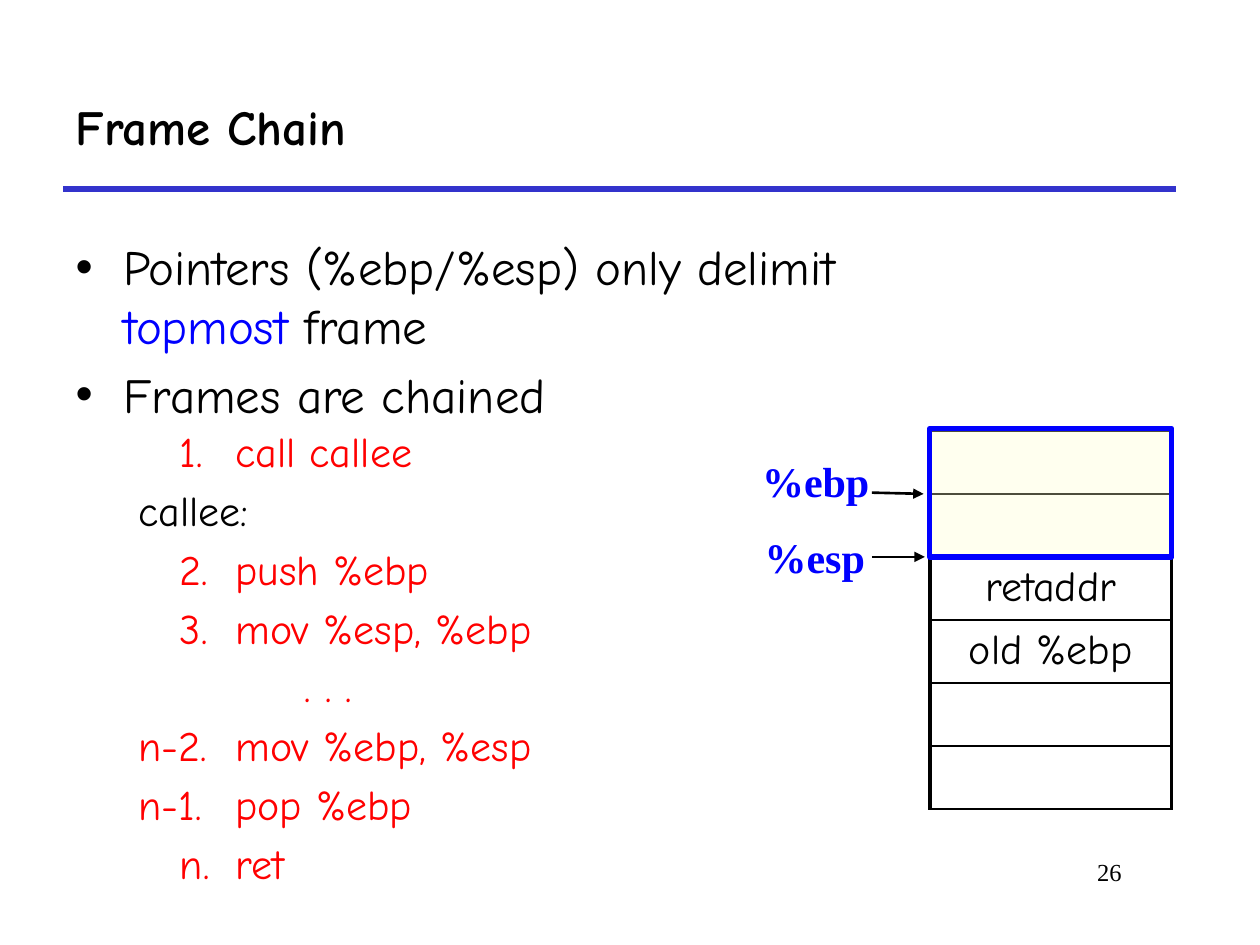
import pptx
import pptx.util
import pptx.oxml
import pptx.oxml.ns
import pptx.dml.color
import pptx.enum.text
import pptx.enum.shapes
import lxml.etree

Inches = pptx.util.Inches
Pt = pptx.util.Pt
Align = pptx.enum.text.PP_ALIGN
Anchor = pptx.enum.text.MSO_ANCHOR
qn = pptx.oxml.ns.qn
SANS, SERIF = "Comic Neue", "Times New Roman"
BLACK, BLUE, RED = "000000", "0000FF", "FF0000"


def paint(target, color):
    if hasattr(target, "solid"):
        target.solid()
        target = target.fore_color
    else:
        target = target.color
    target.rgb = pptx.dml.color.RGBColor.from_string(color)


def style(para, size, font, color, bold=False):
    for span in para.runs:
        span.font.size = Pt(size)
        span.font.name = font
        span.font.bold = bold
        paint(span.font, color)


deck = pptx.Presentation()
deck.slide_width, deck.slide_height = Inches(10), Inches(7.5)
page = deck.slides.add_slide(deck.slide_layouts[1])
shapes = page.shapes
margin = Inches(0.5)
content_width = Inches(8.83)

title = shapes.title
title.left, title.top, title.width, title.height = margin, margin, content_width, Inches(1)
title.text_frame.text = "Frame Chain"
title.text_frame.vertical_anchor = Anchor.MIDDLE
title.text_frame.paragraphs[0].alignment = Align.LEFT
style(title.text_frame.paragraphs[0], 28, SANS, BLACK, True)

body = page.placeholders[1]
body.left, body.top, body.width, body.height = margin, Inches(1.83), Inches(6.63), Inches(1.67)
body.text_frame.auto_size = pptx.enum.text.MSO_AUTO_SIZE.NONE
bullets = [["Pointers (%ebp/%esp) only delimit ", "topmost ", "frame"], ["Frames are chained"]]
for index, parts in enumerate(bullets):
    para = body.text_frame.paragraphs[0] if index == 0 else body.text_frame.add_paragraph()
    for part in parts:
        para.add_run().text = part
    para.space_before = Pt(5.6 * index)
    properties = para._p.get_or_add_pPr()
    properties.set("marL", str(Inches(0.38)))
    properties.set("indent", str(-Inches(0.38)))
    style(para, 28, SANS, BLACK)
paint(body.text_frame.paragraphs[0].runs[1].font, BLUE)

steps = [
    (0.83, "1.\tcall callee", RED),
    (0.5, "callee:", BLACK),
    (0.83, "2.\tpush %ebp", RED),
    (0.83, "3.\tmov %esp, %ebp", RED),
    (1.82, ". . .", RED),
    (0.5, "n-2.\tmov %ebp, %esp", RED),
    (0.5, "n-1.\tpop %ebp", RED),
    (0.83, "n.\tret", RED),
]
code = shapes.add_textbox(margin, Inches(3.33), Inches(5), Inches(3.9)).text_frame
code.word_wrap = True
for index, (start, text, color) in enumerate(steps):
    para = code.paragraphs[0] if index == 0 else code.add_paragraph()
    para.text = text
    para.space_before = Pt(4.8 if index else 0)
    hanging = 1.27 if "\t" in text else start
    properties = para._p.get_or_add_pPr()
    properties.set("marL", str(Inches(hanging)))
    properties.set("indent", str(Inches(start - hanging)))
    style(para, 24, SANS, color)

stack_left, stack_top, stack_width, row_height = Inches(7.38), Inches(3.42), Inches(1.92), Inches(0.5)
entries = ["", "", "retaddr", "old %ebp", "", ""]
stack = shapes.add_table(len(entries), 1, stack_left, stack_top, stack_width, row_height * len(entries)).table
stack.first_row = stack.horz_banding = False
for row, entry in enumerate(entries):
    cell = stack.cell(row, 0)
    cell.text_frame.text = entry
    para = cell.text_frame.paragraphs[0]
    para.alignment = Align.CENTER
    style(para, 24, SANS, BLACK)
    properties = cell._tc.get_or_add_tcPr()
    for side, width in [("lnL", 2.25), ("lnR", 2.25), ("lnT", 1), ("lnB", 1)]:
        border = lxml.etree.SubElement(properties, qn("a:" + side), w=str(Pt(width)))
        solid = lxml.etree.SubElement(border, qn("a:solidFill"))
        lxml.etree.SubElement(solid, qn("a:srgbClr"), val=BLACK)
    paint(cell.fill, "FFFFFF")

frame = shapes.add_shape(pptx.enum.shapes.MSO_SHAPE.RECTANGLE,
                         stack_left, Inches(3.4), stack_width, Inches(1.02))
frame.shadow.inherit = False
paint(frame.fill, "FFFFCC")
fill_color = frame._element.spPr.find(qn("a:solidFill"))[0]
lxml.etree.SubElement(fill_color, qn("a:alpha"), val="30000")
paint(frame.line, BLUE)
frame.line.width = Pt(3)

labels = [
    ("%ebp", 5.95, 3.57, 1.06, 24, BLUE, True, Align.LEFT),
    ("%esp", 5.97, 4.17, 1.01, 24, BLUE, True, Align.LEFT),
    ("26", 7.58, 6.75, 1.42, 14, BLACK, False, Align.RIGHT),
]
for text, left, top, width, size, color, bold, alignment in labels:
    box = shapes.add_textbox(Inches(left), Inches(top), Inches(width), Inches(0.5))
    box.text_frame.word_wrap = alignment == Align.RIGHT
    box.text_frame.text = text
    para = box.text_frame.paragraphs[0]
    para.alignment = alignment
    style(para, size, SERIF, color, bold)

lines = [
    (0.5, 1.5, 9.33, 1.5, "3333CC", 3, False),
    (6.92, 3.91, 7.33, 3.92, BLACK, 1.5, True),
    (6.92, 4.42, 7.34, 4.42, BLACK, 1.5, True),
]
for left, top, right, bottom, color, width, arrow in lines:
    line = shapes.add_connector(pptx.enum.shapes.MSO_CONNECTOR.STRAIGHT,
                                Inches(left), Inches(top), Inches(right), Inches(bottom))
    paint(line.line, color)
    line.line.width = Pt(width)
    if arrow:
        lxml.etree.SubElement(line.line._get_or_add_ln(), qn("a:tailEnd"), type="triangle")
    lxml.etree.SubElement(line._element.spPr, qn("a:effectLst"))

deck.save("out.pptx")
